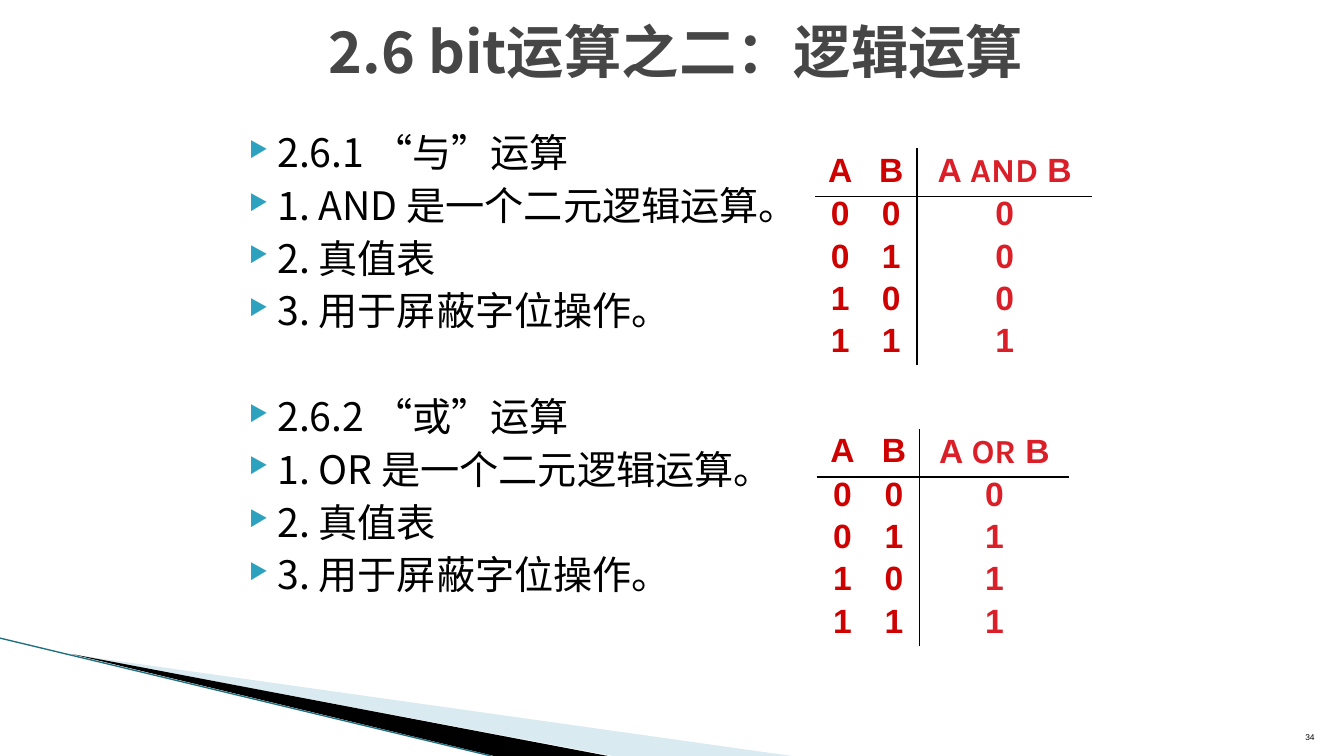
from dataclasses import dataclass

from lxml import etree
from pptx import Presentation
from pptx.dml.color import RGBColor
from pptx.enum.shapes import MSO_CONNECTOR
from pptx.enum.text import MSO_ANCHOR as Anchor, PP_ALIGN as Align
from pptx.oxml import parse_xml
from pptx.oxml.ns import nsdecls, qn
from pptx.util import Cm, Pt


@dataclass(frozen=True)
class Theme:
    black: str = "000000"
    title: str = "464646"
    bullet: str = "2DA2BF"
    operand: str = "CE0000"
    result: str = "DA1F28"
    wedge: str = "A0CBDC"
    edge: str = "1F6F80"
    cjk: str = "Noto Sans CJK SC"
    digits: str = "Noto Sans CJK JP"
    latin: str = "Arial"
    operator: str = "Karla"
    title_size: float = 41
    body_size: float = 28
    table_size: float = 24
    number_size: float = 6


def add_run(p, text, size, color, font, bold=False):
    """Add one formatted run with the same Latin and East Asian font."""
    r = p.add_run()
    r.text = text
    f = r.font
    f.size, f.bold, f.name = Pt(size), bold, font
    f.color.rgb = RGBColor.from_string(color)
    rpr = r._r.get_or_add_rPr()
    rpr.set("lang", "zh-CN")
    rpr.find(qn("a:latin")).addnext(
        parse_xml(f'<a:ea {nsdecls("a")} typeface="{font}"/>'))


class SlideBuilder:
    def __init__(self, prs, theme):
        self.theme = theme
        self.slide = prs.slides.add_slide(prs.slide_layouts[6])
        self.shapes = self.slide.shapes

    def wedge(self, points, color, alpha=100):
        start, *rest = [(Cm(x), Cm(y)) for x, y in points]
        fb = self.shapes.build_freeform(*start)
        fb.add_line_segments(rest, close=True)
        sp = fb.convert_to_shape()
        sp.shadow.inherit = False
        sp.fill.solid()
        sp.fill.fore_color.rgb = RGBColor.from_string(color)
        sp.line.fill.background()
        if alpha < 100:
            clr = sp._element.spPr.find(qn("a:solidFill"))[0]
            etree.SubElement(clr, qn("a:alpha")).set("val", str(alpha * 1000))

    def line(self, x1, y1, x2, y2, color, width):
        cx = self.shapes.add_connector(
            MSO_CONNECTOR.STRAIGHT, Cm(x1), Cm(y1), Cm(x2), Cm(y2))
        cx.line.color.rgb = RGBColor.from_string(color)
        cx.line.width = Pt(width)
        etree.SubElement(cx._element.spPr, qn("a:effectLst"))

    def text_box(self, x, y, w, h, anchor=Anchor.TOP, align=Align.LEFT):
        tf = self.shapes.add_textbox(Cm(x), Cm(y), Cm(w), Cm(h)).text_frame
        tf.word_wrap = True
        tf.vertical_anchor = anchor
        tf.paragraphs[0].alignment = align
        return tf

    def bullets(self, x, y, w, h, groups):
        t = self.theme
        tf = self.text_box(x, y, w, h)
        for g, group in enumerate(groups):
            for i, text in enumerate(group):
                first = g == i == 0
                p = tf.paragraphs[0] if first else tf.add_paragraph()
                ppr = p._p.get_or_add_pPr()
                ppr.set("marL", str(Cm(1.02)))
                ppr.set("indent", str(Cm(-0.71)))
                bu_clr = etree.SubElement(ppr, qn("a:buClr"))
                etree.SubElement(bu_clr, qn("a:srgbClr")).set("val", t.bullet)
                etree.SubElement(ppr, qn("a:buSzPct")).set("val", "55000")
                etree.SubElement(ppr, qn("a:buChar")).set("char", "▶")
                if not first:
                    p.space_before = Pt(4 if i else 42)
                # The last space in each item stands alone as a wider gap
                for part in text.rpartition(" "):
                    add_run(p, part, size=t.body_size, color=t.black,
                            font=t.cjk)

    def truth_table(self, x, y, widths, operator, func):
        t = self.theme
        rows = [("A", "B", operator)]
        rows += [(a, b, func(a, b)) for a in (0, 1) for b in (0, 1)]
        heights = [1.22] + [1.06] * 4
        frame = self.shapes.add_table(
            len(rows), len(widths), Cm(x), Cm(y),
            Cm(sum(widths)), Cm(sum(heights)))
        table = frame.table
        table.first_row = table.horz_banding = False
        # "No style, no grid"
        table._tbl.tblPr.find(qn("a:tableStyleId")).text = (
            "{2D5ABB26-0587-4C30-8999-92F81FD0307C}")
        for col, w in zip(table.columns, widths):
            col.width = Cm(w)
        for row, h in zip(table.rows, heights):
            row.height = Cm(h)
        for i, row in enumerate(rows):
            for j, value in enumerate(row):
                cell = table.cell(i, j)
                cell.margin_top = cell.margin_bottom = Cm(0.1)
                self.cell_borders(cell, L=j == 2, R=j == 1, T=i == 1, B=i == 0)
                cell.fill.background()
                p = cell.text_frame.paragraphs[0]
                p.alignment = Align.CENTER
                if i:
                    p.line_spacing = 0.85
                parts = [(str(value), t.latin)]
                if value == operator:
                    parts = [("A ", t.latin), (operator, t.operator),
                             (" B", t.latin)]
                for text, font in parts:
                    add_run(p, text, size=t.table_size, font=font, bold=True,
                            color=t.result if j == 2 else t.operand)

    def cell_borders(self, cell, **sides):
        """Draw the sides that are true and switch the others off."""
        tcpr = cell._tc.get_or_add_tcPr()
        solid = (f'<a:solidFill><a:srgbClr val="{self.theme.black}"/>'
                 '</a:solidFill>')
        for side, shown in sides.items():
            tcpr.append(parse_xml(
                f'<a:ln{side} {nsdecls("a")} w="{Pt(1)}">'
                f'{solid if shown else "<a:noFill/>"}</a:ln{side}>'))


def main():
    prs = Presentation()
    prs.slide_width, prs.slide_height = Cm(33.87), Cm(19.05)
    t = Theme()
    s = SlideBuilder(prs, t)

    # Corner decoration
    s.wedge([(1.85, 16.5), (19.95, 19.05), (15.45, 19.05)], t.wedge, alpha=40)
    s.wedge([(1.8, 16.48), (15.32, 19.05), (12.45, 19.05)], t.black)
    s.line(0, 16.08, 12.38, 19.05, t.edge, 0.95)

    # Title
    p = s.text_box(5.54, 0.23, 23.01, 2.11, Anchor.MIDDLE,
                   Align.CENTER).paragraphs[0]
    for text, font in (("2.6 ", t.digits), ("bit运算之二：逻辑运算", t.cjk)):
        add_run(p, text, size=t.title_size, color=t.title, font=font, bold=True)

    # Two groups of points
    shared = ["2. 真值表", "3. 用于屏蔽字位操作。"]
    s.bullets(5.72, 3.12, 23.19, 13.79, [
        ["2.6.1 “与”运算", "1. AND 是一个二元逻辑运算。", *shared],
        ["2.6.2 “或”运算", "1. OR 是一个二元逻辑运算。", *shared],
    ])

    # Truth tables
    s.truth_table(20.54, 3.73, [1.27, 1.3, 4.42], "AND", lambda a, b: a & b)
    s.truth_table(20.58, 10.8, [1.3, 1.3, 3.76], "OR", lambda a, b: a | b)

    # Slide number
    p = s.text_box(32.03, 17.81, 1.35, 1.02, Anchor.BOTTOM,
                   Align.RIGHT).paragraphs[0]
    add_run(p, "34", size=t.number_size, color=t.black, font=t.latin)

    prs.save("out.pptx")


if __name__ == "__main__":
    main()
